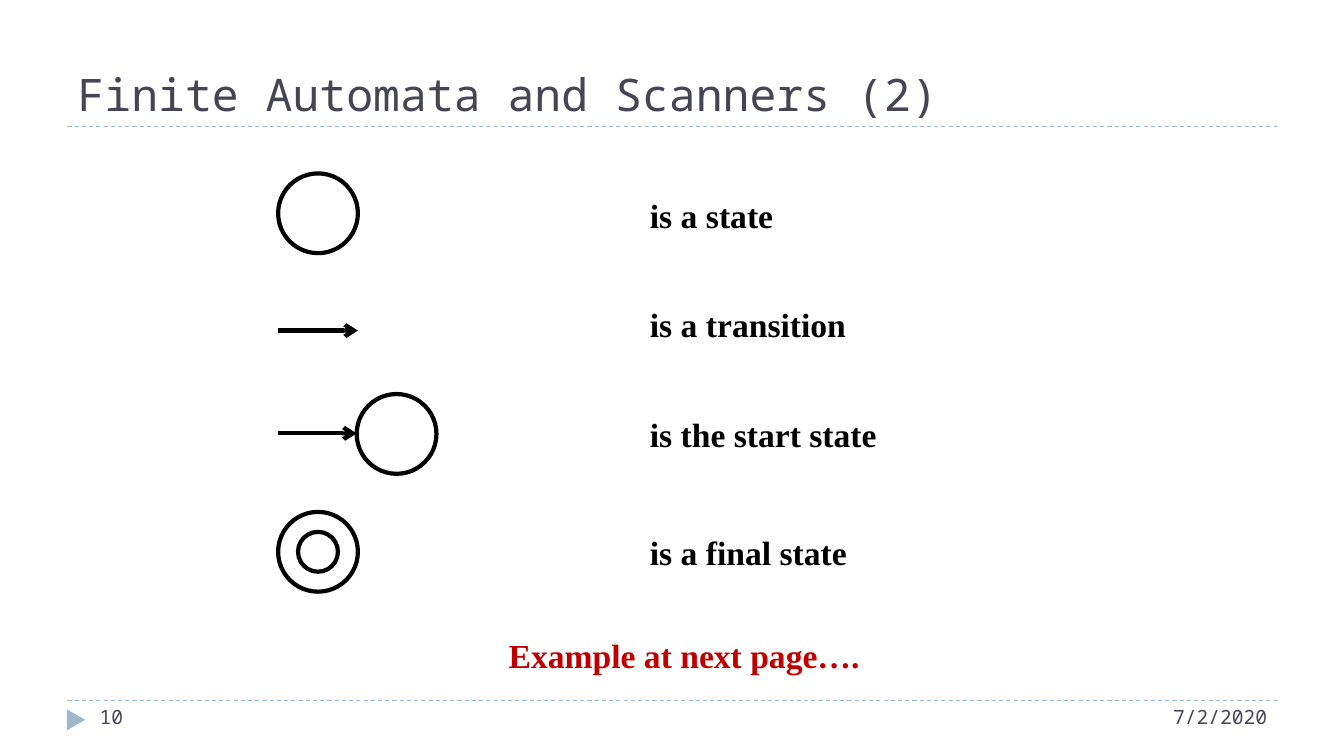
"""Build the slide that explains the symbols of finite automata."""
from dataclasses import dataclass

from lxml import etree
from pptx import Presentation
from pptx.dml.color import RGBColor
from pptx.enum.dml import MSO_LINE
from pptx.enum.shapes import MSO_CONNECTOR, MSO_SHAPE
from pptx.enum.text import MSO_ANCHOR, PP_ALIGN
from pptx.oxml.ns import qn
from pptx.slide import Slide
from pptx.text.text import TextFrame
from pptx.util import Cm, Pt

STRAIGHT = MSO_CONNECTOR.STRAIGHT
DASH = MSO_LINE.DASH
CIRCLE, RING, TRIANGLE = MSO_SHAPE.OVAL, MSO_SHAPE.DONUT, MSO_SHAPE.ISOSCELES_TRIANGLE
TOP, BOTTOM = MSO_ANCHOR.TOP, MSO_ANCHOR.BOTTOM
LEFT, RIGHT = PP_ALIGN.LEFT, PP_ALIGN.RIGHT

COLORS = {"rule": "9FB8CD", "heading": "464653", "ink": "000000",
          "paper": "FFFFFF", "accent": "C00000"}
MONO, SERIF = "Noto Sans Mono", "Times New Roman"
SYMBOL_LEFT, SYMBOL_SIZE = 7.01, 2.01
LABEL_LEFT = 16.13


@dataclass(frozen=True)
class Style:
    font: str
    size: int
    color: str
    bold: bool = False
    align: PP_ALIGN = LEFT


@dataclass(frozen=True)
class Label:
    text: str
    left: float
    top: float
    width: float
    height: float
    style: Style


@dataclass(frozen=True)
class State:
    kind: MSO_SHAPE
    left: float
    top: float


@dataclass(frozen=True)
class Line:
    left: float
    right: float
    y: float
    color: str
    weight: float
    is_arrow: bool = False


TITLE = Style(MONO, 32, "heading")
FOOTER = Style(MONO, 14, "heading")
FOOTER_RIGHT = Style(MONO, 14, "heading", align=RIGHT)
MEANING = Style(SERIF, 24, "ink", bold=True)
HINT = Style(SERIF, 24, "accent", bold=True)

LINES = [
    Line(1.7, 32.18, 3.18, "rule", 0.75),
    Line(1.7, 32.18, 17.65, "rule", 0.75),
    Line(SYMBOL_LEFT, 9.02, 8.33, "ink", 3, is_arrow=True),
    Line(SYMBOL_LEFT, 8.99, 10.92, "ink", 3, is_arrow=True),
]
STATES = [
    State(CIRCLE, SYMBOL_LEFT, 4.37),
    State(CIRCLE, 8.99, 9.93),
    State(RING, SYMBOL_LEFT, 12.9),
]
MEANINGS = {"is a state": 4.78, "is a transition": 7.54,
            "is the start state": 10.31, "is a final state": 13.28}
LABELS = [
    *(Label(text, LABEL_LEFT, top, 12.7, 1.3, MEANING) for text, top in MEANINGS.items()),
    Label("Example at next page….", 12.57, 15.88, 12.7, 1.3, HINT),
    Label("10", 2.26, 17.65, 7.34, 1.02, FOOTER),
    Label("7/2/2020", 23.71, 17.65, 8.48, 1.02, FOOTER_RIGHT),
]


def color_of(name: str) -> RGBColor:
    return RGBColor.from_string(COLORS[name])


def write_text(frame: TextFrame, text: str, style: Style, anchor: MSO_ANCHOR) -> None:
    frame.text = text
    frame.word_wrap = True
    frame.vertical_anchor = anchor
    paragraph = frame.paragraphs[0]
    paragraph.alignment = style.align
    font = paragraph.runs[0].font
    font.name, font.size, font.bold = style.font, Pt(style.size), style.bold
    font.color.rgb = color_of(style.color)


def add_title(slide: Slide, text: str) -> None:
    title = slide.shapes.title
    title.left, title.top, title.width, title.height = Cm(1.7), Cm(0.43), Cm(30.48), Cm(2.74)
    write_text(title.text_frame, text, TITLE, BOTTOM)


def add_label(slide: Slide, label: Label) -> None:
    box = slide.shapes.add_textbox(
        Cm(label.left), Cm(label.top), Cm(label.width), Cm(label.height))
    write_text(box.text_frame, label.text, label.style, TOP)


def add_line(slide: Slide, line: Line) -> None:
    connector = slide.shapes.add_connector(
        STRAIGHT, Cm(line.left), Cm(line.y), Cm(line.right), Cm(line.y))
    connector.line.color.rgb = color_of(line.color)
    connector.line.width = Pt(line.weight)
    if line.is_arrow:
        outline = connector.line._get_or_add_ln()
        etree.SubElement(outline, qn("a:tailEnd"), type="arrow")
    else:
        connector.line.dash_style = DASH
    etree.SubElement(connector._element.spPr, qn("a:effectLst"))


def add_state(slide: Slide, state: State) -> None:
    shape = slide.shapes.add_shape(
        state.kind, Cm(state.left), Cm(state.top), Cm(SYMBOL_SIZE), Cm(SYMBOL_SIZE))
    shape.shadow.inherit = False
    shape.fill.solid()
    shape.fill.fore_color.rgb = color_of("paper")
    shape.line.color.rgb = color_of("ink")
    shape.line.width = Pt(3)


def add_page_marker(slide: Slide) -> None:
    marker = slide.shapes.add_shape(TRIANGLE, Cm(1.65), Cm(17.91), Cm(0.53), Cm(0.46))
    marker.rotation = 90
    marker.shadow.inherit = False
    marker.fill.solid()
    marker.fill.fore_color.rgb = color_of("rule")
    marker.line.fill.background()


def main() -> None:
    presentation = Presentation()
    presentation.slide_width, presentation.slide_height = Cm(33.87), Cm(19.05)
    slide = presentation.slides.add_slide(presentation.slide_layouts[5])
    add_title(slide, "Finite Automata and Scanners (2)")
    add_page_marker(slide)
    for line in LINES:
        add_line(slide, line)
    for state in STATES:
        add_state(slide, state)
    for label in LABELS:
        add_label(slide, label)
    presentation.save("out.pptx")


if __name__ == "__main__":
    main()
